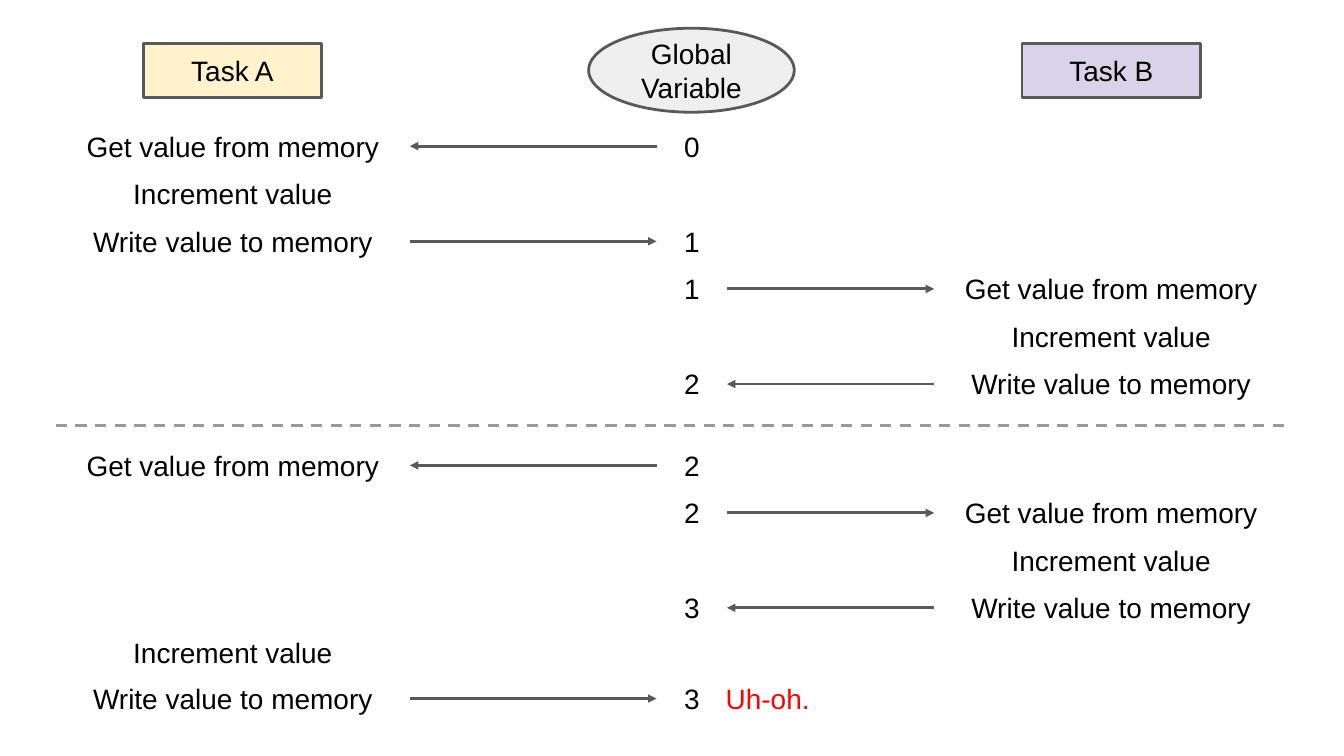
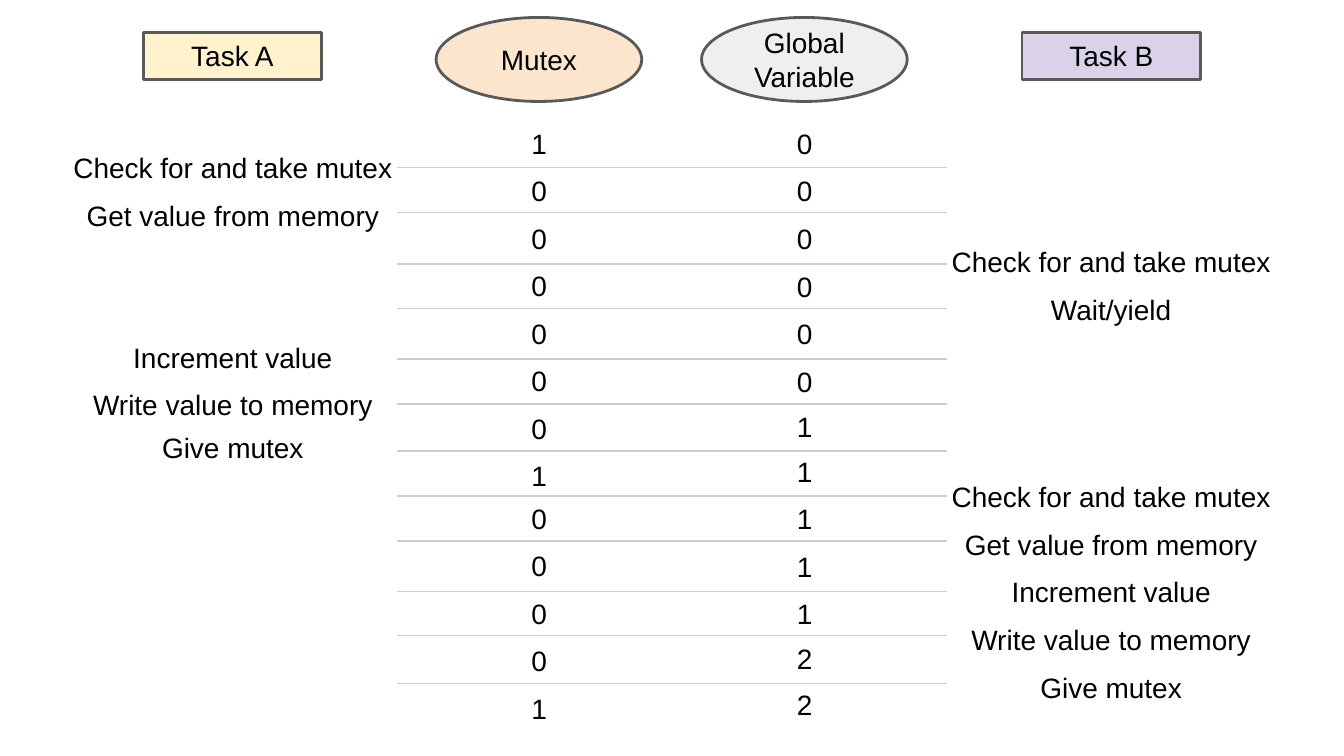
from collections import namedtuple

from lxml.etree import SubElement
from pptx import Presentation
from pptx.dml.color import RGBColor
from pptx.enum.dml import MSO_LINE
from pptx.enum.shapes import MSO_CONNECTOR, MSO_SHAPE
from pptx.enum.text import MSO_ANCHOR, MSO_AUTO_SIZE, PP_ALIGN
from pptx.oxml.ns import qn
from pptx.util import Emu, Pt

PX = 9144  # 100 px to the inch
FONT = "Arial"
TEXT_SIZE = Pt(30)

BLACK = RGBColor(0x00, 0x00, 0x00)
RED = RGBColor(0xFF, 0x00, 0x00)
OUTLINE = RGBColor(0x59, 0x59, 0x59)
DIVIDER = RGBColor(0x99, 0x99, 0x99)
ROW_RULE = RGBColor(0xCC, 0xCC, 0xCC)
YELLOW = RGBColor(0xFF, 0xF2, 0xCC)
PURPLE = RGBColor(0xD9, 0xD2, 0xE9)
GRAY = RGBColor(0xEF, 0xEF, 0xEF)
ORANGE = RGBColor(0xFC, 0xE5, 0xCD)

Box = namedtuple("Box", "left top width height")

TAKE = "Check for and take mutex"
GET = "Get value from memory"
INCREMENT = "Increment value"
WRITE = "Write value to memory"
GIVE = "Give mutex"

LABEL_WIDTH, VALUE_WIDTH, ROW_HEIGHT = 527, 105, 71
TASK_WIDTH = 266
OVAL_WIDTH, OVAL_HEIGHT = 306, 125
LEFT_SIDE, RIGHT_SIDE = 1, 3


def emu(box):
    return [Emu(round(length * PX)) for length in box]


def write_text(shape, text, color=BLACK, align=PP_ALIGN.CENTER):
    frame = shape.text_frame
    frame.word_wrap = True
    frame.margin_left = frame.margin_right = Emu(10 * PX)
    frame.margin_top = frame.margin_bottom = Emu(10 * PX)
    frame.text = text
    para = frame.paragraphs[0]
    para.alignment = align
    font = para.runs[0].font
    font.name, font.size = FONT, TEXT_SIZE
    font.color.rgb = color


def add_label(slide, left, top, width, text, **style):
    label = slide.shapes.add_textbox(*emu((left, top, width, ROW_HEIGHT)))
    write_text(label, text, **style)
    label.text_frame.auto_size = MSO_AUTO_SIZE.SHAPE_TO_FIT_TEXT
    return label


def add_header(slide, kind, box, text, fill):
    header = slide.shapes.add_shape(kind, *emu(box))
    header.shadow.inherit = False
    header.fill.solid()
    header.fill.fore_color.rgb = fill
    header.line.color.rgb = OUTLINE
    header.line.width = Pt(3)
    write_text(header, text)
    header.text_frame.vertical_anchor = MSO_ANCHOR.MIDDLE


def add_line(slide, start, end, color, width=3, dash=None, arrow=False):
    line = slide.shapes.add_connector(MSO_CONNECTOR.STRAIGHT, *emu(start + end))
    line.line.color.rgb = color
    line.line.width = Pt(width)
    if dash:
        line.line.dash_style = dash
    properties = line._element.spPr
    if arrow:
        SubElement(properties.find(qn("a:ln")), qn("a:tailEnd"), type="triangle")
    SubElement(properties, qn("a:effectLst"))
    return line


def add_arrow(slide, source, source_side, target, target_side):
    arrow = add_line(slide, (0, 0), (0, 0), OUTLINE, arrow=True)
    arrow.begin_connect(source, source_side)
    arrow.end_connect(target, target_side)


def task_headers(slide, box):
    """Put the two task boxes at the ends of the header band."""
    for left, name, fill in (
        (box.left, "Task A", YELLOW),
        (box.left + box.width - TASK_WIDTH, "Task B", PURPLE),
    ):
        place = Box(left, box.top, TASK_WIDTH, box.height)
        add_header(slide, MSO_SHAPE.RECTANGLE, place, name, fill)


def variable_header(slide, column, top, name, fill):
    """Centre an oval over the value column that starts at the given left."""
    left = column + (VALUE_WIDTH - OVAL_WIDTH) // 2
    place = Box(left, top, OVAL_WIDTH, OVAL_HEIGHT)
    add_header(slide, MSO_SHAPE.OVAL, place, name, fill)


def spread(first, last, items):
    """Pair each item with a top, evenly spaced from first to last."""
    gap = (last - first) / max(len(items) - 1, 1)
    return [(first + index * gap, item) for index, item in enumerate(items)]


def exchange(slide, box, steps):
    """Draw task steps down a box; reads and writes get a value and an arrow."""
    value_left = box.left + 894
    for top, (task, action, value) in spread(box.top, box.top + box.height, steps):
        on_left = task == "A"
        left = box.left if on_left else box.left + box.width - LABEL_WIDTH
        label = add_label(slide, left, top, LABEL_WIDTH, action)
        if not value:
            continue
        number = add_label(slide, value_left, top, VALUE_WIDTH, value)
        ends = [(number, LEFT_SIDE if on_left else RIGHT_SIDE),
                (label, RIGHT_SIDE if on_left else LEFT_SIDE)]
        if action == WRITE:
            ends.reverse()
        add_arrow(slide, *ends[0], *ends[1])


def stack(slide, left, width, groups):
    for first, last, texts in groups:
        for top, text in spread(first, last, texts):
            add_label(slide, left, top, width, text)


def race_slide(slide, box):
    right = box.left + box.width
    task_headers(slide, Box(box.left + 130, box.top + 65, box.width - 260, 80))
    variable_header(slide, box.left + 894, box.top + 42, "Global Variable", GRAY)
    phases = (
        (182, 536, [("A", GET, "0"), ("A", INCREMENT, ""), ("A", WRITE, "1"),
                    ("B", GET, "1"), ("B", INCREMENT, ""), ("B", WRITE, "2")]),
        (657, 869, [("A", GET, "2"), ("B", GET, "2"),
                    ("B", INCREMENT, ""), ("B", WRITE, "3")]),
        (936, 1004, [("A", INCREMENT, ""), ("A", WRITE, "3")]),
    )
    for first, last, steps in phases:
        place = Box(box.left, box.top + first, box.width, last - first)
        exchange(slide, place, steps)
    divider = box.top + 633
    add_line(slide, (box.left, divider), (right, divider), DIVIDER, dash=MSO_LINE.DASH)
    add_label(slide, box.left + 987, box.top + 1004, 193, "Uh-oh.",
              color=RED, align=PP_ALIGN.LEFT)


def mutex_slide(slide, box):
    right = box.left + box.width
    mutex_left, global_left = box.left + 667, box.left + 1062
    task_headers(slide, Box(box.left + 130, box.top + 48, box.width - 260, 70))
    variable_header(slide, mutex_left, box.top + 26, "Mutex", ORANGE)
    variable_header(slide, global_left, box.top + 26, "Global Variable", GRAY)

    for offset in (249, 316, 393, 459, 534, 601, 671, 738, 805, 880, 946, 1017):
        rule = box.top + offset
        add_line(slide, (box.left + 508, rule), (right - 508, rule), ROW_RULE, width=1.5)

    columns = (
        (box.left, LABEL_WIDTH, [
            (214, 285, [TAKE, GET]),
            (496, 566, [INCREMENT, WRITE]),
            (631, 631, [GIVE]),
        ]),
        (mutex_left, VALUE_WIDTH, [(178, 673, "10000001"), (736, 1019, "00001")]),
        (global_left, VALUE_WIDTH, [
            (178, 532, "000000"), (600, 667, "11"),
            (736, 878, "111"), (945, 1013, "22"),
        ]),
        (right - LABEL_WIDTH, LABEL_WIDTH, [
            (354, 425, [TAKE, "Wait/yield"]),
            (703, 988, [TAKE, GET, INCREMENT, WRITE, GIVE]),
        ]),
    )
    for left, width, groups in columns:
        placed = [(box.top + first, box.top + last, texts)
                  for first, last, texts in groups]
        stack(slide, left, width, placed)


def main():
    deck = Presentation()
    deck.slide_width, deck.slide_height = emu((2000, 1125))
    blank = deck.slide_layouts[6]
    content = Box(83, 0, 1834, 1125)
    for draw in (race_slide, mutex_slide):
        draw(deck.slides.add_slide(blank), content)
    deck.save("out.pptx")


if __name__ == "__main__":
    main()
